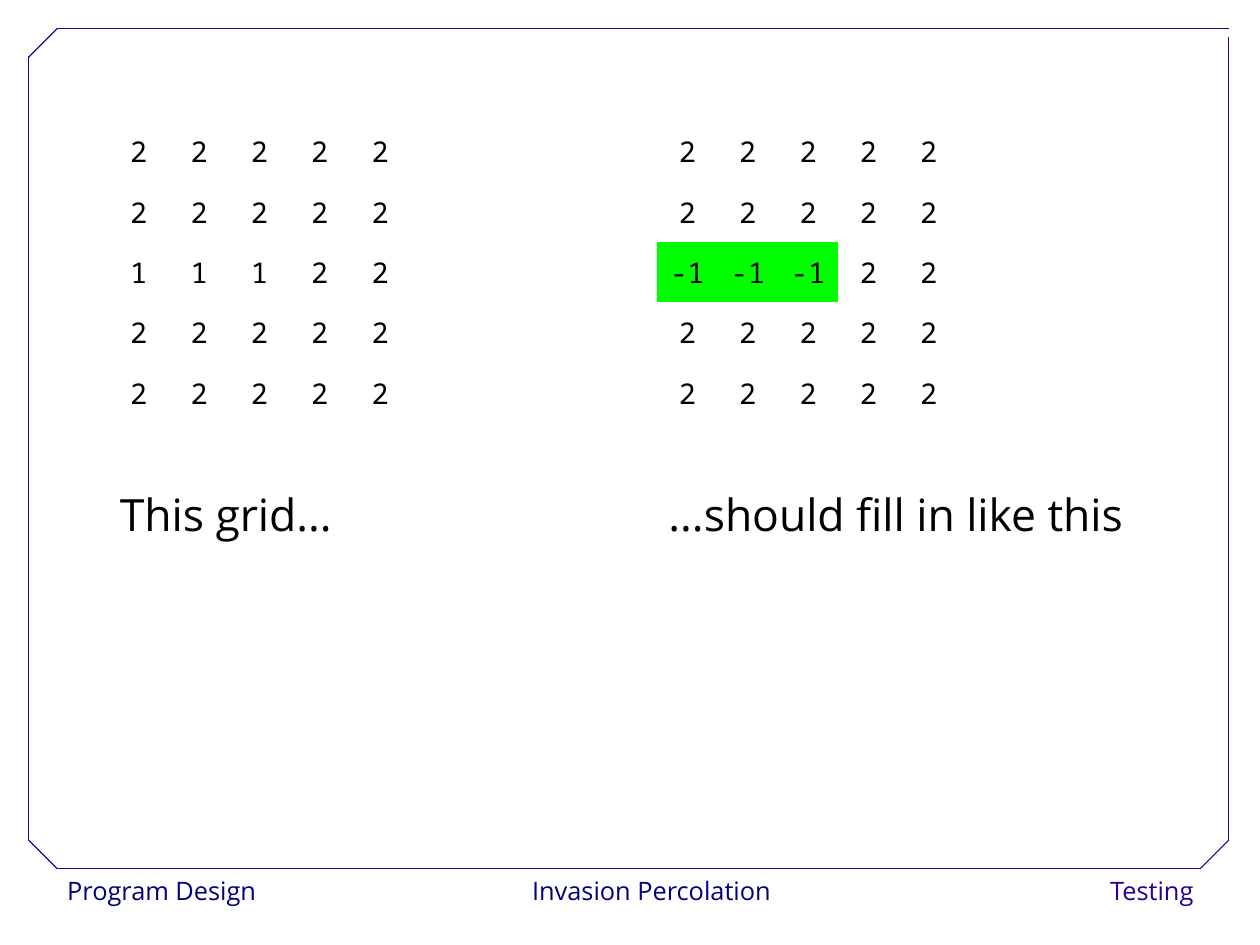
from lxml import etree
from pptx import Presentation
from pptx.dml.color import RGBColor
from pptx.enum import shapes, text
from pptx.oxml import ns
from pptx.util import Cm, Inches, Pt

COLORS = {
    "text": "000000",
    "footer": "000080",
    "frame": "280099",
    "filled": "00FF00",
    "background": "FFFFFF",
}
SANS, MONO = "Open Sans", "Noto Sans Mono"
NO_STYLE_NO_GRID = "{2D5ABB26-0587-4C30-8999-92F81FD0307C}"
ALIGN = text.PP_ALIGN

GRID_SIZE = 2.64
GRID_TOP = 1.06
UNIFORM_ROW = ["2"] * 5


def color(name):
    return RGBColor.from_string(COLORS[name])


def format_paragraph(p, font, size, color_name, align, spacing=1.02):
    p.alignment = align
    p.line_spacing = spacing
    p.font.name = font
    p.font.size = Pt(size)
    p.font.color.rgb = color(color_name)


def add_label(s, words, left, top, width, height):
    box = s.shapes.add_textbox(
        Inches(left), Inches(top), Inches(width), Inches(height))
    box.text_frame.text = words
    return box


def add_footer(s, words, left, width, color_name, align):
    box = add_label(s, words, left, 7.6, width, 0.4)
    box.fill.solid()
    box.fill.fore_color.rgb = color("background")
    box.text_frame.word_wrap = False
    format_paragraph(box.text_frame.paragraphs[0], SANS, 16, color_name, align)


def add_caption(s, words, left):
    tf = add_label(s, words, left, 3.98, 4.86, 0.8).text_frame
    tf.word_wrap = True
    format_paragraph(tf.paragraphs[0], SANS, 28, "text", ALIGN.LEFT, 1.5)


def add_frame_line(s, x1, y1, x2, y2):
    line = s.shapes.add_connector(
        shapes.MSO_CONNECTOR.STRAIGHT,
        Inches(x1), Inches(y1), Inches(x2), Inches(y2))
    line.line.color.rgb = color("frame")
    line.line.width = Pt(0.75)
    etree.SubElement(line._element.spPr, ns.qn("a:effectLst"))


def add_grid(s, rows, left):
    """Add a borderless square table whose negative cells are highlighted."""
    count = len(rows)
    size = Inches(GRID_SIZE)
    table = s.shapes.add_table(
        count, count, Inches(left), Inches(GRID_TOP), size, size).table
    table.first_row = table.horz_banding = False
    table._tbl.tblPr.find(ns.qn("a:tableStyleId")).text = NO_STYLE_NO_GRID
    for i, row in enumerate(rows):
        for j, value in enumerate(row):
            cell = table.cell(i, j)
            cell.text = value
            cell.vertical_anchor = text.MSO_ANCHOR.MIDDLE
            if value.startswith("-"):
                cell.fill.solid()
                cell.fill.fore_color.rgb = color("filled")
            else:
                cell.fill.background()
            format_paragraph(cell.text_frame.paragraphs[0],
                             MONO, 18, "text", ALIGN.CENTER)


def main():
    prs = Presentation()
    prs.slide_width, prs.slide_height = Cm(28), Cm(21)
    s = prs.slides.add_slide(prs.slide_layouts[6])

    add_footer(s, "Program Design", 0.49, 1.9, "footer", ALIGN.LEFT)
    add_footer(s, "Invasion Percolation", 4.53, 2.34, "footer", ALIGN.CENTER)
    add_footer(s, "Testing", 9.14, 1.4, "frame", ALIGN.RIGHT)

    for ends in [
        (0.5, 7.6, 10.5, 7.6),
        (0.25, 7.35, 0.25, 0.49),
        (0.5, 0.25, 10.75, 0.25),
        (10.75, 7.35, 10.75, 0.32),
        (0.25, 0.5, 0.5, 0.25),
        (10.5, 7.6, 10.75, 7.35),
        (0.25, 7.35, 0.5, 7.6),
    ]:
        add_frame_line(s, *ends)

    for left, channel, caption in [
        (0.95, "1", "This grid..."),
        (5.75, "-1", "...should fill in like this"),
    ]:
        middle_row = [channel] * 3 + ["2"] * 2
        add_grid(s, [UNIFORM_ROW] * 2 + [middle_row] + [UNIFORM_ROW] * 2, left)
        add_caption(s, caption, left)

    prs.save("out.pptx")


if __name__ == "__main__":
    main()
